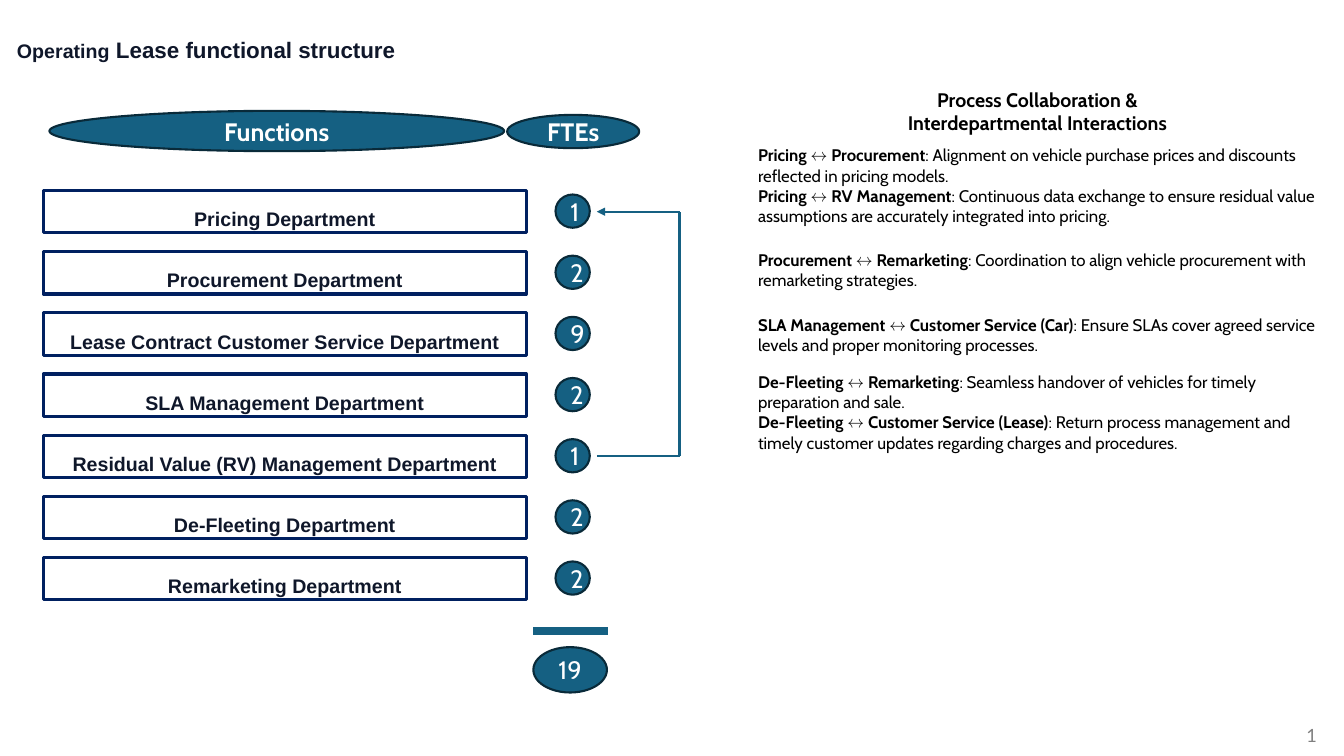
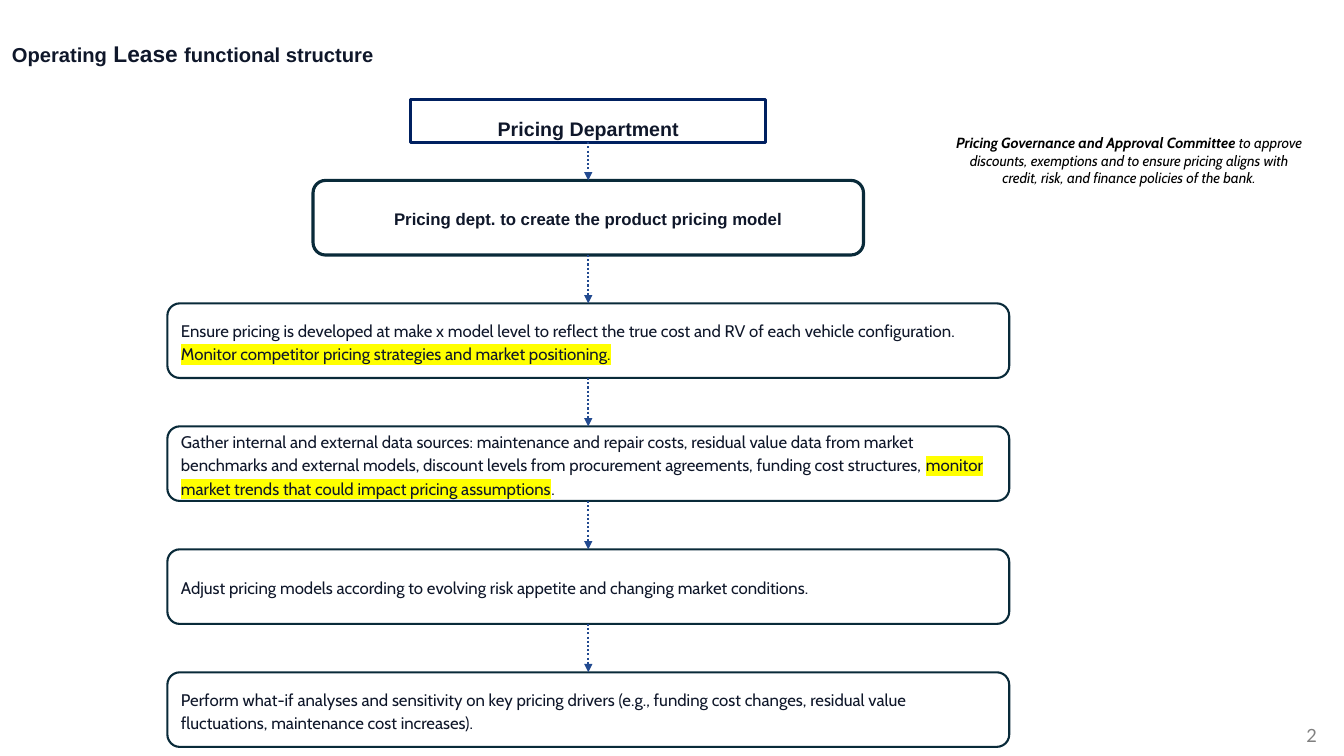
from itertools import pairwise

from lxml import etree
from pptx import Presentation
from pptx import util as u
from pptx.dml.color import RGBColor
from pptx.enum import dml, shapes, text
from pptx.oxml.ns import qn

COLORS = {
    "ink": "0F172A", "black": "000000", "white": "FFFFFF", "grey": "808080",
    "navy": "002060", "teal": "156082", "edge": "092A39", "arrow": "224A90",
    "marker": "FFFF00",
}
HEAD, BODY, NUMBER = "Arial", "Cabin", "Lato"
LEFT, CENTER, RIGHT = text.PP_ALIGN.LEFT, text.PP_ALIGN.CENTER, text.PP_ALIGN.RIGHT
TOP, MIDDLE = text.MSO_ANCHOR.TOP, text.MSO_ANCHOR.MIDDLE
ROW_HEIGHT = 0.42

DEPARTMENTS = [
    ("Pricing Department", 1),
    ("Procurement Department", 2),
    ("Lease Contract Customer Service Department", 9),
    ("SLA Management Department", 2),
    ("Residual Value (RV) Management Department", 1),
    ("De-Fleeting Department", 2),
    ("Remarketing Department", 2),
]
# Each group: top, height, then the pairs of departments and what links them.
INTERACTIONS = [
    (1.39, 0.91, [
        ("Pricing", "Procurement",
         "Alignment on vehicle purchase prices and discounts reflected in pricing models."),
        ("Pricing", "RV Management",
         "Continuous data exchange to ensure residual value assumptions are "
         "accurately integrated into pricing."),
    ]),
    (2.43, 0.5, [
        ("Procurement", "Remarketing",
         "Coordination to align vehicle procurement with remarketing strategies."),
    ]),
    (3.07, 0.5, [
        ("SLA Management", "Customer Service (Car)",
         "Ensure SLAs cover agreed service levels and proper monitoring processes."),
    ]),
    (3.64, 0.91, [
        ("De-Fleeting", "Remarketing",
         "Seamless handover of vehicles for timely preparation and sale."),
        ("De-Fleeting", "Customer Service (Lease)",
         "Return process management and timely customer updates regarding "
         "charges and procedures."),
    ]),
]
MARKED = {"mark": True}
PRICING_STEPS = [
    [("Ensure pricing is developed at make x model level to reflect the true cost "
      "and RV of each vehicle configuration. ", {}),
     ("Monitor competitor pricing strategies and market positioning.", MARKED)],
    [("Gather internal and external data sources: maintenance and repair costs, "
      "residual value data from market benchmarks and external models, discount levels "
      "from procurement agreements, funding cost structures, ", {}),
     ("monitor market trends that could impact pricing assumptions", MARKED),
     (".", {})],
    [("Adjust pricing models according to evolving risk appetite and changing "
      "market conditions.", {})],
    [("Perform what-if analyses and sensitivity on key pricing drivers (e.g., funding "
      "cost changes, residual value fluctuations, maintenance cost increases).", {})],
]


def rgb(name):
    return RGBColor.from_string(COLORS[name])


def inches(values):
    return [u.Inches(value) for value in values]


def style_span(span, size, font=BODY, color="ink", bold=False, italic=False, mark=False):
    span.font.size = u.Pt(size)
    span.font.name = font
    span.font.bold = bold
    span.font.italic = italic
    span.font.color.rgb = rgb(color)
    if mark:
        highlight = etree.Element(qn("a:highlight"))
        etree.SubElement(highlight, qn("a:srgbClr"), val=COLORS["marker"])
        span.font._element.find(qn("a:latin")).addprevious(highlight)


def write(box, paragraphs, align=LEFT, anchor=TOP, spacing=None, after=None, **style):
    """Fill box; each paragraph is a list of (text, style overrides)."""
    frame = box.text_frame
    frame.word_wrap = True
    frame.vertical_anchor = anchor
    for index, spans in enumerate(paragraphs):
        para = frame.add_paragraph() if index else frame.paragraphs[0]
        para.alignment = align
        para.line_spacing = spacing
        if after:
            para.space_after = u.Pt(after)
        for words, changes in spans:
            span = para.add_run()
            span.text = words
            style_span(span, **{**style, **changes})


def add_text(page, area, paragraphs, **style):
    box = page.shapes.add_textbox(*inches(area))
    write(box, paragraphs, **style)
    return box


def add_box(page, kind, area, line, width, fill=None):
    box = page.shapes.add_shape(kind, *inches(area))
    box.shadow.inherit = False
    if fill:
        box.fill.solid()
        box.fill.fore_color.rgb = rgb(fill)
    else:
        box.fill.background()
    box.line.color.rgb = rgb(line)
    box.line.width = u.Pt(width)
    return box


def add_line(page, start, end, color, width, arrow=False):
    line = page.shapes.add_connector(shapes.MSO_CONNECTOR.STRAIGHT, *inches(start + end))
    line.line.color.rgb = rgb(color)
    line.line.width = u.Pt(width)
    if arrow:
        etree.SubElement(line.line._get_or_add_ln(), qn("a:tailEnd"), type="triangle")
    etree.SubElement(line._element.spPr, qn("a:effectLst"))
    return line


def add_flow_arrow(page, upper, lower):
    """Dotted arrow from the bottom of one box to the top of the next."""
    arrow = add_line(page, (0, 0), (0, 0), "arrow", 1.5, arrow=True)
    arrow.line.dash_style = dml.MSO_LINE.ROUND_DOT
    arrow.begin_connect(upper, 2)
    arrow.end_connect(lower, 0)


def add_page(deck, title_area, title):
    """Blank page with the shared title style and slide number."""
    page = deck.slides.add_slide(deck.slide_layouts[6])
    add_text(page, title_area, [[(words, {"size": size}) for words, size in title]],
             anchor=MIDDLE, font=HEAD, bold=True)
    number = add_text(page, (12.36, 7.14, 0.8, 0.32), [[(str(len(deck.slides)), {})]],
                      align=RIGHT, size=13, font=NUMBER, color="grey")
    field = number.text_frame.paragraphs[0].runs[0]._r
    field.tag = qn("a:fld")
    field.set("id", "{B6F15528-21DE-4FAA-801E-634DDDAF4B2B}")
    field.set("type", "slidenum")
    return page


def add_department(page, left, top, width, name):
    box = add_box(page, shapes.MSO_SHAPE.RECTANGLE, (left, top, width, ROW_HEIGHT),
                  "navy", 2.25)
    write(box, [[(name, {})]], align=CENTER, spacing=1.5, size=14, font=HEAD, bold=True)
    return box


def add_oval(page, area, label, bold=False):
    oval = add_box(page, shapes.MSO_SHAPE.FLOWCHART_CONNECTOR, area, "edge", 1.5, "teal")
    write(oval, [[(label, {})]], align=CENTER, anchor=MIDDLE, size=18, color="white",
          bold=bold)


def add_step(page, area, spans, width=1.5, **style):
    box = add_box(page, shapes.MSO_SHAPE.ROUNDED_RECTANGLE, area, "edge", width, "white")
    write(box, [spans], anchor=MIDDLE, spacing=1.15, after=8, size=12, **style)
    return box


def add_staffing(page, left, top):
    """Departments with their headcount, the feedback arrow and the total."""
    add_oval(page, (left + 4.6, top + 0.04, 1.31, 0.33), "FTEs", bold=True)
    add_oval(page, (left + 0.06, top, 4.51, 0.4), "Functions", bold=True)
    first, pitch = top + 0.79, 3.64 / 6
    for row, (name, count) in enumerate(DEPARTMENTS):
        row_top = first + row * pitch
        add_department(page, left, row_top, 4.79, name)
        add_oval(page, (left + 5.08, row_top + 0.04, 0.34, 0.33), str(count))

    near, far = left + 5.49, left + 6.31
    pricing = first + ROW_HEIGHT / 2
    residual = pricing + 4 * pitch
    corners = [(near, residual), (far, residual), (far, pricing), (near, pricing)]
    for start, end in pairwise(corners):
        add_line(page, start, end, "teal", 1.5, arrow=end == corners[-1])

    sum_left, sum_top = left + 4.86, top + 5.16
    add_line(page, (sum_left, sum_top), (sum_left + 0.74, sum_top), "teal", 6)
    total = sum(count for _, count in DEPARTMENTS)
    add_oval(page, (sum_left, sum_top + 0.16, 0.73, 0.45), str(total))


def add_interactions(page, left, width):
    add_text(page, (left + 1.02, 0.82, 3.7, 0.57),
             [[("Process Collaboration & Interdepartmental Interactions", {})]],
             align=CENTER, size=14, color="black", bold=True)
    strong = {"bold": True}
    for top, height, links in INTERACTIONS:
        paragraphs = [[(one, strong), (" ↔ ", {}), (other, strong), (f": {detail}", {})]
                      for one, other, detail in links]
        add_text(page, (left, top, width, height), paragraphs, size=12, color="black")


def add_pricing_flow(page, left, top, width):
    """Chain of boxes centred on one axis."""
    def centred(box_width):
        return left + (width - box_width) / 2

    height, pitch = 0.74, 1.22
    first = top + 0.8
    chain = [
        add_department(page, centred(3.52), top, 3.52, DEPARTMENTS[0][0]),
        add_step(page, (centred(5.46), first, 5.46, height),
                 [("Pricing dept. to create the product pricing model", {})],
                 width=2.25, align=CENTER, font=HEAD, bold=True),
    ]
    for row, spans in enumerate(PRICING_STEPS, 1):
        chain.append(add_step(page, (left, first + row * pitch, width, height), spans))
    for upper, lower in pairwise(chain):
        add_flow_arrow(page, upper, lower)


def build_structure_page(deck):
    page = add_page(deck, (0.07, 0.31, 6.67, 0.37),
                    [("Operating", 14), (" Lease functional structure", 16)])
    add_staffing(page, 0.43, 1.1)
    add_interactions(page, 7.42, 5.79)


def build_pricing_page(deck):
    page = add_page(deck, (0.02, 0.36, 11.06, 0.34),
                    [("Operating", 14.4), (" Lease ", 16.2), ("functional structure", 14.4)])
    add_pricing_flow(page, 1.66, 0.99, 8.35)
    add_text(page, (9.35, 1.28, 3.7, 0.63),
             [[("Pricing Governance and Approval Committee", {"bold": True}),
               (" to approve discounts, exemptions and to ensure pricing aligns with "
                "credit, risk, and finance policies of the bank.", {})]],
             align=CENTER, size=10.5, color="black", italic=True)


def main():
    deck = Presentation()
    deck.slide_width, deck.slide_height = inches((13.33, 7.5))
    build_structure_page(deck)
    build_pricing_page(deck)
    deck.save("out.pptx")


if __name__ == "__main__":
    main()
